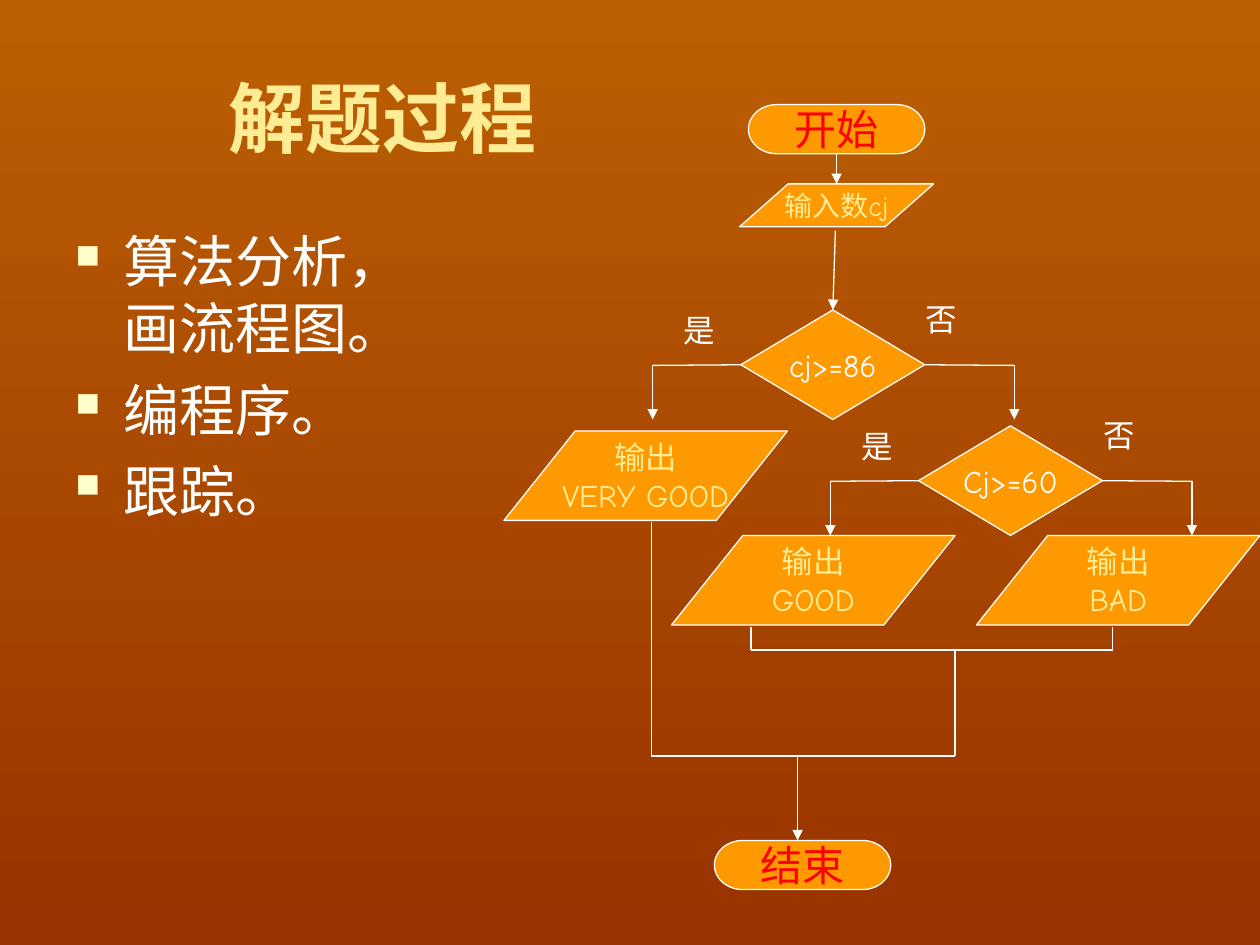
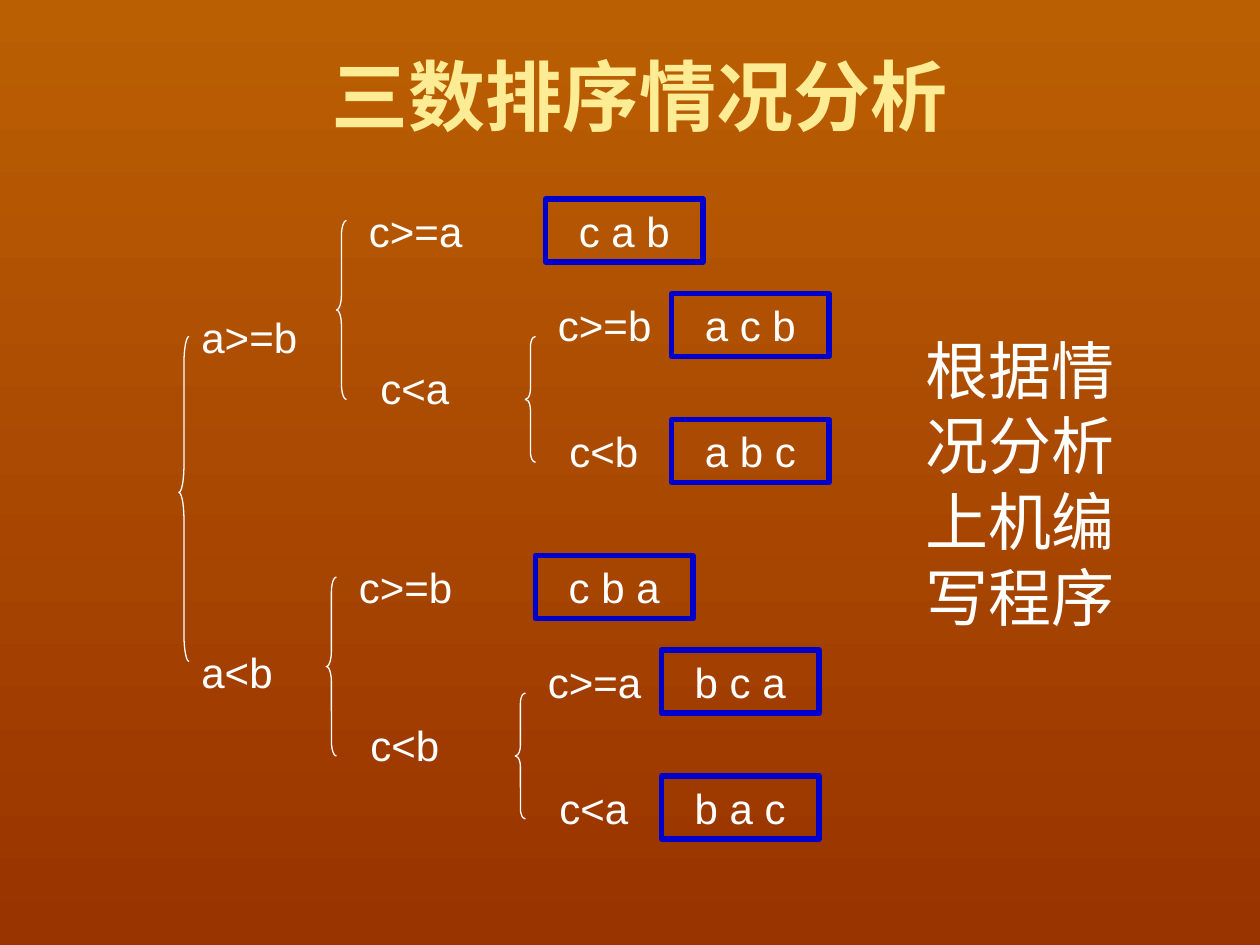
from dataclasses import dataclass
from typing import Optional

from lxml import etree
from pptx import Presentation
from pptx.dml.color import RGBColor
from pptx.enum import shapes, text
from pptx.oxml import ns
from pptx import util as u

TOP_BROWN = RGBColor(0xBB, 0x5F, 0x03)
BOTTOM_BROWN = RGBColor(0x99, 0x33, 0x00)
CREAM = RGBColor(0xFE, 0xEC, 0x94)
BULLET_CREAM = RGBColor(0xFF, 0xFF, 0xCC)
WHITE = RGBColor(0xFF, 0xFF, 0xFF)
ORANGE = RGBColor(0xFF, 0x99, 0x00)
RED = RGBColor(0xFF, 0x00, 0x00)
BLUE = RGBColor(0x00, 0x00, 0xCC)

SERIF, SANS, COMIC = "Times New Roman", "Arial", "Comic Neue"
TITLE_ONLY = 5
TOP, LEFT, BOTTOM, RIGHT = range(4)
KIND = shapes.MSO_SHAPE
CENTER, START = text.PP_ALIGN.CENTER, text.PP_ALIGN.LEFT
MIDDLE, UPPER = text.MSO_ANCHOR.MIDDLE, text.MSO_ANCHOR.TOP


@dataclass(frozen=True)
class Node:
    kind: KIND
    left: float
    top: float
    width: float
    height: float
    words: str
    size: float = 18
    font: str = COMIC
    color: RGBColor = CREAM
    slant: Optional[float] = None


@dataclass(frozen=True)
class Wire:
    x1: float
    y1: float
    x2: float
    y2: float
    arrow: bool = False


@dataclass(frozen=True)
class SortCase:
    shift_x: float
    shift_y: float
    first: str
    second: str
    third: str
    fourth: str
    orders: tuple[str, str, str]


def terminator(left: float, top: float, words: str) -> Node:
    return Node(KIND.FLOWCHART_TERMINATOR, left, top, 1.4, 0.39, words, 24, SERIF, RED)


def output(left: float, top: float, grade: str) -> Node:
    return Node(KIND.PARALLELOGRAM, left, top, 2.25, 0.71, f"输出\n{grade}", slant=0.796)


def decision(left: float, top: float, test: str) -> Node:
    return Node(KIND.DIAMOND, left, top, 1.46, 0.87, test, color=WHITE)


BEGIN = terminator(5.94, 0.83, "开始")
FINISH = terminator(5.67, 6.67, "结束")
READ = Node(KIND.PARALLELOGRAM, 5.87, 1.46, 1.54, 0.34, "输入数cj", 16, slant=1.134)
OUTPUTS = (output(4, 3.42, "VERY GOOD"), output(5.33, 4.25, "GOOD"), output(7.75, 4.25, "BAD"))
DECISIONS = (decision(5.88, 2.46, "cj>=86"), decision(7.29, 3.38, "Cj>=60"))

JOINING_WIRES = (
    Wire(5.96, 4.98, 5.96, 5.16),
    Wire(5.96, 5.16, 8.83, 5.16),
    Wire(8.83, 4.98, 8.83, 5.16),
    Wire(5.17, 4.14, 5.17, 6),
    Wire(7.58, 5.17, 7.58, 6),
    Wire(5.17, 6, 7.58, 6),
    Wire(6.33, 6, 6.33, 6.67, arrow=True),
)

SORT_CASES = (
    SortCase(0, 0, "c>=a", "c<a", "c>=b", "c<b", ("c a b", "a c b", "a b c")),
    SortCase(-0.08, 2.83, "c>=b", "c<b", "c>=a", "c<a", ("c b a", "b c a", "b a c")),
)


def add_bullet(para) -> None:
    props = para._p.get_or_add_pPr()
    props.set("marL", str(u.Inches(0.38)))
    props.set("indent", str(-u.Inches(0.38)))
    tint = etree.SubElement(props, ns.qn("a:buClr"))
    etree.SubElement(tint, ns.qn("a:srgbClr")).set("val", str(BULLET_CREAM))
    etree.SubElement(props, ns.qn("a:buSzPct")).set("val", "60000")
    etree.SubElement(props, ns.qn("a:buChar")).set("char", "■")


def write_text(frame, words: str, *, size: float, font: str = SANS, color: RGBColor = WHITE,
               bold: bool = False, align=START, anchor=UPPER, wrap: bool = True,
               bullets: bool = False, gap: float = 0) -> None:
    frame.auto_size = text.MSO_AUTO_SIZE.NONE
    frame.word_wrap = wrap
    frame.vertical_anchor = anchor
    for index, line in enumerate(words.split("\n")):
        para = frame.add_paragraph() if index else frame.paragraphs[0]
        if bullets:
            add_bullet(para)
        para.alignment = align
        para.space_before = u.Pt(gap if index else 0)
        span = para.add_run()
        span.text = line
        span.font.size = u.Pt(size)
        span.font.name = font
        span.font.bold = bold
        span.font.color.rgb = color


def add_label(page, left: float, top: float, width: float, height: float, words: str,
              **style) -> None:
    box = page.shapes.add_textbox(*map(u.Inches, (left, top, width, height)))
    write_text(box.text_frame, words, **style)


def add_outline(page, kind, left: float, top: float, width: float, height: float, *,
                line: RGBColor = WHITE, weight: float = 0.75, fill: Optional[RGBColor] = None):
    shape = page.shapes.add_shape(kind, *map(u.Inches, (left, top, width, height)))
    shape.shadow.inherit = False
    shape.line.color.rgb = line
    shape.line.width = u.Pt(weight)
    if fill is None:
        shape.fill.background()
    else:
        shape.fill.solid()
        shape.fill.fore_color.rgb = fill
    return shape


def add_node(page, node: Node):
    shape = add_outline(page, node.kind, node.left, node.top, node.width, node.height, fill=ORANGE)
    if node.slant is not None:
        shape.adjustments[0] = node.slant
    write_text(shape.text_frame, node.words, size=node.size, font=node.font, color=node.color,
               align=CENTER, anchor=MIDDLE, wrap=False)
    return shape


def add_wire(page, wire: Wire):
    ends = map(u.Inches, (wire.x1, wire.y1, wire.x2, wire.y2))
    line = page.shapes.add_connector(shapes.MSO_CONNECTOR.STRAIGHT, *ends)
    line.line.color.rgb = WHITE
    line.line.width = u.Pt(0.75)
    props = line._element.spPr
    if wire.arrow:
        etree.SubElement(props.find(ns.qn("a:ln")), ns.qn("a:tailEnd")).set("type", "triangle")
    etree.SubElement(props, ns.qn("a:effectLst"))
    return line


def add_decision(page, node: Node):
    diamond = add_node(page, node)
    middle = node.top + 0.44
    right = node.left + node.width
    for side, edge, corner in ((LEFT, node.left, node.left - 0.7),
                               (RIGHT, right, right + 0.71)):
        add_wire(page, Wire(corner, middle, edge, middle)).end_connect(diamond, side)
        add_wire(page, Wire(corner, middle, corner, middle + 0.43, arrow=True))
    for word, shift_x, shift_y in (("是", -0.55, -0.04), ("否", 1.37, -0.13)):
        add_label(page, node.left + shift_x, node.top + shift_y, 0.53, 0.4, word,
                  size=18, font=COMIC)
    return diamond


def add_brace(page, left: float, top: float, height: float, point: float = 0.5) -> None:
    width = 0.08
    brace = add_outline(page, KIND.LEFT_BRACE, left, top, width, height)
    brace.adjustments[0] = height / 12 / width
    brace.adjustments[1] = point


def add_sort_case(page, case: SortCase) -> None:
    x, y = case.shift_x, case.shift_y
    add_brace(page, 2.67 + x, 1.75 + y, 1.42)
    add_brace(page, 4.17 + x, 2.67 + y, 1)
    for words, left, top in ((case.first, 2.83, 1.58), (case.second, 2.92, 2.83),
                             (case.third, 4.33, 2.33), (case.fourth, 4.42, 3.33)):
        add_label(page, left + x, top + y, 1.08, 0.5, words, size=24)
    for words, left, top in zip(case.orders, (4.33, 5.33, 5.33), (1.58, 2.33, 3.33)):
        box = add_outline(page, KIND.RECTANGLE, left + x, top + y, 1.25, 0.5,
                          line=BLUE, weight=3)
        write_text(box.text_frame, words, size=24, align=CENTER)


def add_page(deck, words: str, left: float, top: float, width: float, height: float):
    page = deck.slides.add_slide(deck.slide_layouts[TITLE_ONLY])
    title = page.shapes.title
    title.left, title.top, title.width, title.height = map(u.Inches, (left, top, width, height))
    write_text(title.text_frame, words, size=44, font=SERIF, color=CREAM, bold=True,
               align=CENTER, anchor=MIDDLE)
    return page


def paint_background(deck) -> None:
    fill = deck.slide_master.background.fill
    fill.gradient()
    fill.gradient_angle = 270
    for stop, color, position in zip(fill.gradient_stops, (TOP_BROWN, BOTTOM_BROWN), (0, 1)):
        stop.color.rgb = color
        stop.position = position


def build_flowchart(deck) -> None:
    page = add_page(deck, "解题过程", 0.5, 0.3, 5.08, 1.25)
    add_label(page, 0.5, 1.75, 3, 4.95, "算法分析，画流程图。\n编程序。\n跟踪。",
              size=32, font=SERIF, bullets=True, gap=8)
    begin = add_node(page, BEGIN)
    for node in (FINISH, READ, *OUTPUTS):
        add_node(page, node)
    first_test, _ = [add_decision(page, node) for node in DECISIONS]
    add_wire(page, Wire(6.64, 1.22, 6.64, 1.46, arrow=True)).begin_connect(begin, BOTTOM)
    add_wire(page, Wire(6.63, 1.83, 6.62, 2.45, arrow=True)).end_connect(first_test, TOP)
    for wire in JOINING_WIRES:
        add_wire(page, wire)


def build_sort_analysis(deck) -> None:
    page = add_page(deck, "三数排序情况分析", 0.58, 0, 9, 1.5)
    add_brace(page, 1.42, 2.67, 2.58, point=0.48)
    for words, top in (("a>=b", 2.42), ("a<b", 5.08)):
        add_label(page, 1.5, top, 1.08, 0.5, words, size=24)
    for case in SORT_CASES:
        add_sort_case(page, case)
    add_label(page, 7.25, 2.58, 2.17, 2.5, "根据情况分析上机编写程序", size=36)


def main() -> None:
    deck = Presentation()
    deck.slide_width, deck.slide_height = u.Inches(10), u.Inches(7.5)
    paint_background(deck)
    build_flowchart(deck)
    build_sort_analysis(deck)
    deck.save("out.pptx")


if __name__ == "__main__":
    main()
